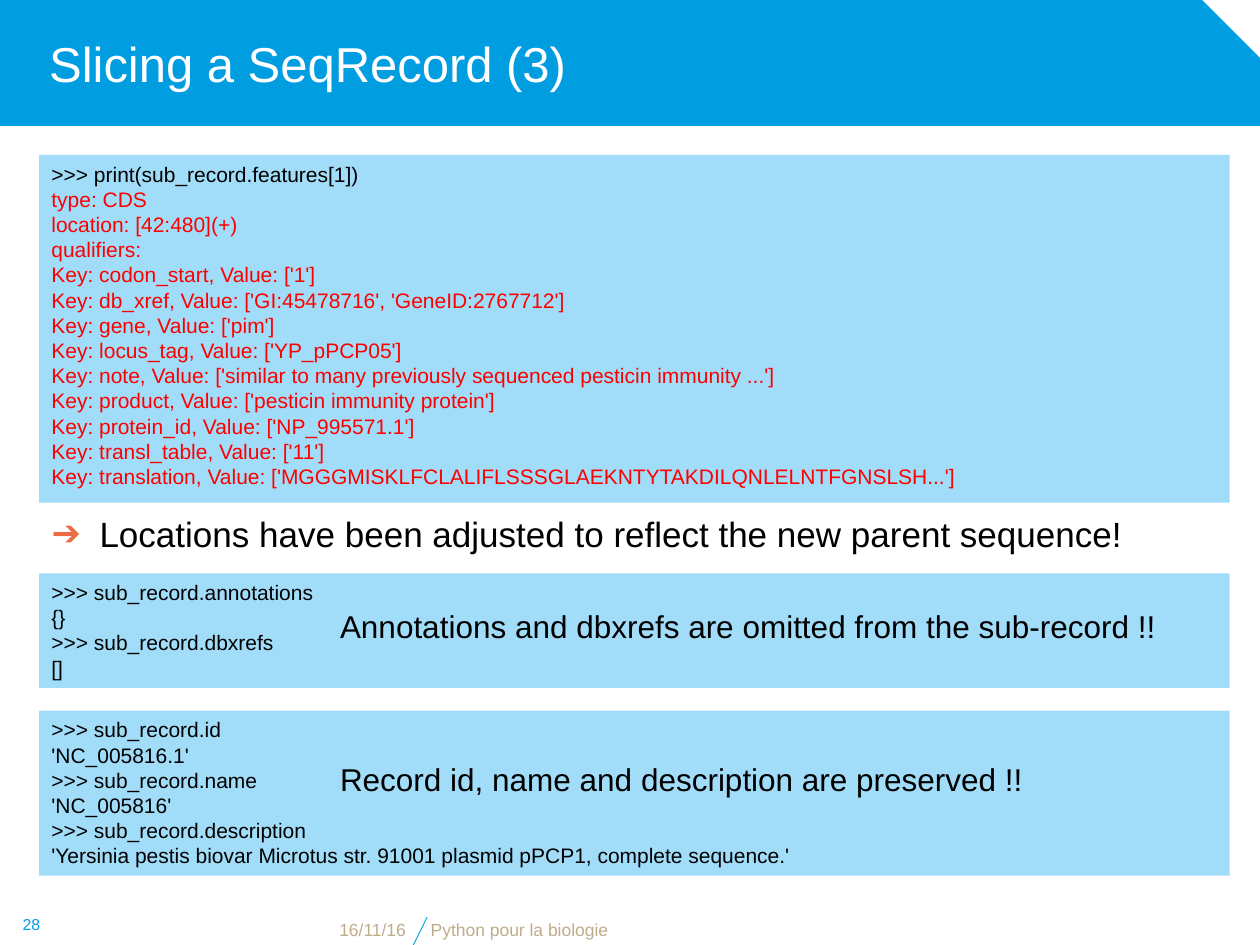
from collections import namedtuple

from lxml.etree import SubElement
from pptx import Presentation
from pptx.dml.color import RGBColor
from pptx.enum.shapes import MSO_CONNECTOR, MSO_SHAPE
from pptx.enum.text import MSO_ANCHOR, MSO_AUTO_SIZE, PP_ALIGN
from pptx.oxml.ns import qn
from pptx.util import Inches, Pt


class Theme:
    font = "Arial"
    blue, pale, white = "009DE0", "A1DDF9", "FFFFFF"
    black, red, orange, sand = "000000", "FF0000", "EC6C43", "BEAD8A"
    title, body, note, code, footer, number = 28, 20, 18, 12, 10, 9


# Boxes are measured in columns and rows of a 100 x 75 grid
Box = namedtuple("Box", "column row columns rows")
UNIT = Inches(10) // 100

HEADER = Box(0, 0, 100, 10)
CODE_LEFT, CODE_WIDTH = 3.1, 94.5
STATEMENT = Box(CODE_LEFT, 40.2, CODE_WIDTH, 5.2)
FOOTER = Box(0, 71.7, 100, 3.3)

FEATURE = """>>> print(sub_record.features[1])
type: CDS
location: [42:480](+)
qualifiers:
Key: codon_start, Value: ['1']
Key: db_xref, Value: ['GI:45478716', 'GeneID:2767712']
Key: gene, Value: ['pim']
Key: locus_tag, Value: ['YP_pPCP05']
Key: note, Value: ['similar to many previously sequenced pesticin immunity ...']
Key: product, Value: ['pesticin immunity protein']
Key: protein_id, Value: ['NP_995571.1']
Key: transl_table, Value: ['11']
Key: translation, Value: ['MGGGMISKLFCLALIFLSSSGLAEKNTYTAKDILQNLELNTFGNSLSH...']"""
OMITTED = """>>> sub_record.annotations
{}
>>> sub_record.dbxrefs
[]"""
PRESERVED = """>>> sub_record.id
'NC_005816.1'
>>> sub_record.name
'NC_005816'
>>> sub_record.description
'Yersinia pestis biovar Microtus str. 91001 plasmid pPCP1, complete sequence.'"""


def emu(box):
    return [round(length * UNIT) for length in box]


def set_values(target, values):
    for name, value in values.items():
        setattr(target, name, value)


def place(shape, box):
    set_values(shape, dict(zip(("left", "top", "width", "height"), emu(box))))


def write(shape, lines, size, colors, align=PP_ALIGN.LEFT, **frame_values):
    """Write one paragraph per line; the last colour serves all later lines."""
    frame = shape.text_frame
    set_values(frame, {"word_wrap": True, "auto_size": MSO_AUTO_SIZE.NONE,
                       "vertical_anchor": MSO_ANCHOR.TOP, **frame_values})
    for index, line in enumerate(lines):
        para = frame.add_paragraph() if index else frame.paragraphs[0]
        para.alignment = align
        span = para.add_run()
        span.text = line
        set_values(span.font, {"name": Theme.font, "size": Pt(size)})
        color = colors[min(index, len(colors) - 1)]
        span.font.color.rgb = RGBColor.from_string(color)


def add_panel(page, preset, box, color):
    panel = page.shapes.add_shape(preset, *emu(box))
    panel.shadow.inherit = False
    panel.fill.solid()
    panel.fill.fore_color.rgb = RGBColor.from_string(color)
    panel.line.fill.background()
    return panel


def add_header(page, box, text):
    banner = add_panel(page, MSO_SHAPE.SNIP_1_RECTANGLE, box, Theme.blue)
    banner.adjustments[0] = 0.46
    title = page.shapes.title
    title.element.addprevious(banner.element)  # banner goes behind the title
    place(title, box._replace(columns=box.columns * 0.95))
    write(title, [text], Theme.title, [Theme.white], margin_left=Inches(0.39),
          vertical_anchor=MSO_ANCHOR.MIDDLE)


def add_statement(page, box, text):
    body = page.placeholders[1]
    place(body, box)
    write(body, [text], Theme.body, [Theme.black])
    # Orange arrow bullet with a hanging indent
    settings = body.text_frame.paragraphs[0]._p.get_or_add_pPr()
    indent = Inches(0.38)
    settings.set("marL", str(indent))
    settings.set("indent", str(-indent))
    color = SubElement(settings, qn("a:buClr"))
    SubElement(color, qn("a:srgbClr"), val=Theme.orange)
    SubElement(settings, qn("a:buFont"), typeface=Theme.font)
    SubElement(settings, qn("a:buChar"), char="➔")


def add_code(page, box, code, colors, note=None, note_row=0):
    panel = add_panel(page, MSO_SHAPE.RECTANGLE, box, Theme.pale)
    write(panel, code.splitlines(), Theme.code, colors)
    if note:
        note_box = Box(box.column + 22.9, box.row + note_row, 67.5, 4)
        label = page.shapes.add_textbox(*emu(note_box))
        write(label, [note], Theme.note, [Theme.black], word_wrap=False)


def add_footer(page, box, number, date, course):
    bottom = box.row + box.rows
    top = bottom - 2.2
    # Page number, date and course name
    parts = [
        (Box(box.column, box.row, 5, box.rows), number, Theme.number,
         Theme.blue, PP_ALIGN.CENTER, MSO_ANCHOR.MIDDLE),
        (Box(9.9, top, 23.3, 2.3), date, Theme.footer,
         Theme.sand, PP_ALIGN.RIGHT, MSO_ANCHOR.BOTTOM),
        (Box(33.2, top, 57.5, 2.3), course, Theme.footer,
         Theme.sand, PP_ALIGN.LEFT, MSO_ANCHOR.BOTTOM),
    ]
    for part, text, size, color, align, anchor in parts:
        label = page.shapes.add_textbox(*emu(part))
        write(label, [text], size, [color], align, vertical_anchor=anchor)
    # Slanted divider
    divider = page.shapes.add_connector(
        MSO_CONNECTOR.STRAIGHT, *emu((32.8, bottom, 33.9, top)))
    divider.line.color.rgb = RGBColor.from_string(Theme.blue)
    divider.line.width = Pt(0.5)
    SubElement(divider.element.spPr, qn("a:effectLst"))


def main():
    deck = Presentation()
    set_values(deck, {"slide_width": 100 * UNIT, "slide_height": 75 * UNIT})
    page = deck.slides.add_slide(deck.slide_layouts[1])

    add_header(page, HEADER, "Slicing a SeqRecord (3)")
    add_statement(page, STATEMENT, "Locations have been adjusted to reflect "
                                   "the new parent sequence!")
    add_footer(page, FOOTER, "28", "16/11/16", "Python pour la biologie")
    add_code(page, Box(CODE_LEFT, 12.3, CODE_WIDTH, 27.6), FEATURE,
             [Theme.black, Theme.red])
    add_code(page, Box(CODE_LEFT, 45.5, CODE_WIDTH, 9.1), OMITTED, [Theme.black],
             "Annotations and dbxrefs are omitted from the sub-record !!", 2.2)
    add_code(page, Box(CODE_LEFT, 56.4, CODE_WIDTH, 13.1), PRESERVED, [Theme.black],
             "Record id, name and description are preserved !!", 3.4)
    deck.save("out.pptx")


if __name__ == "__main__":
    main()
